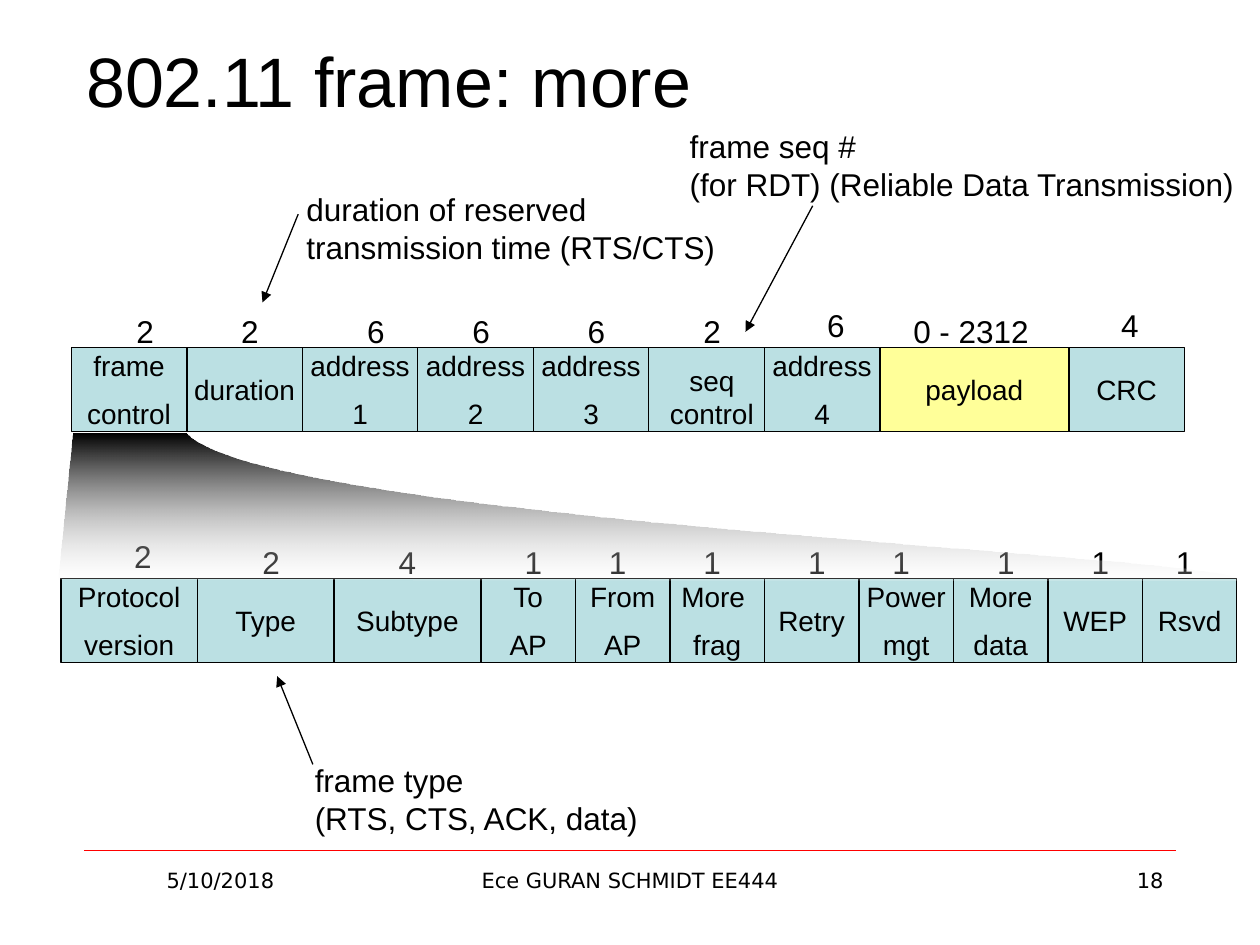
from dataclasses import dataclass
from typing import Optional

from lxml import etree
from pptx import Presentation, util as u
from pptx.dml.color import RGBColor
from pptx.enum import shapes as sh, text as tx
from pptx.oxml.ns import qn

COLS, ROWS = 120, 90  # slide grid, twelve cells to the inch
HEX = {"ink": "000000", "cell": "BBE0E3", "data": "FFFF99",
       "rule": "FF0000", "fade": "FFFFFF"}
LEFT, MID, RIGHT = tx.PP_ALIGN.LEFT, tx.PP_ALIGN.CENTER, tx.PP_ALIGN.RIGHT

prs = Presentation()
prs.slide_width, prs.slide_height = u.Inches(10), u.Inches(7.5)
slide = prs.slides.add_slide(prs.slide_layouts[5])
pool = slide.shapes


@dataclass
class Field:
    label: str
    width: float
    size: str
    mark: float        # column of the size text
    lift: float = 0    # rows the size text is raised
    fill: str = "cell"


@dataclass
class Note:
    label: str
    left: float
    top: float
    width: float
    height: float
    align: int = LEFT
    pt: int = 18
    face: str = "Arial"
    wrap: bool = False


def x(col: float) -> int:
    return round(prs.slide_width * col / COLS)


def y(row: float) -> int:
    return round(prs.slide_height * row / ROWS)


def rgb(name: str) -> RGBColor:
    return RGBColor.from_string(HEX[name])


def write(frame, label: str, pt: int, align: int = LEFT,
          face: str = "Arial", gap: float = 0, **form) -> None:
    """Fill a text frame, one paragraph a line; gap parts the lines."""
    for key, val in form.items():
        setattr(frame, key, val)
    for i, line in enumerate(label.split("\n")):
        para = frame.paragraphs[0] if i == 0 else frame.add_paragraph()
        para.alignment = align
        para.space_before = u.Pt(gap if i else 0)
        run = para.add_run()
        run.text = line
        for key, val in {"size": u.Pt(pt), "name": face}.items():
            setattr(run.font, key, val)
        run.font.color.rgb = rgb("ink")


def add_note(note: Note) -> None:
    box = pool.add_textbox(x(note.left), y(note.top), x(note.width), y(note.height))
    fit = tx.MSO_AUTO_SIZE.NONE if note.wrap else tx.MSO_AUTO_SIZE.SHAPE_TO_FIT_TEXT
    write(box.text_frame, note.label, note.pt, note.align, note.face,
          word_wrap=note.wrap, auto_size=fit)


def add_row(left: float, top: float, fields: list[Field]) -> None:
    for item in fields:
        cell = pool.add_shape(sh.MSO_SHAPE.RECTANGLE, x(left), y(top),
                              x(item.width), y(8))
        cell.shadow.inherit = False
        cell.fill.solid()
        cell.fill.fore_color.rgb = rgb(item.fill)
        cell.line.color.rgb = rgb("ink")
        cell.line.width = u.Pt(0.75)
        if item.label:
            write(cell.text_frame, item.label, 16, MID, gap=8,
                  word_wrap=False, vertical_anchor=tx.MSO_ANCHOR.MIDDLE)
        left += item.width
    for item in fields:
        wide = 13.4 if len(item.size) > 1 else 4.1
        add_note(Note(item.size, item.mark, top - 4 - item.lift, wide, 4.8))


def add_line(start: tuple, end: tuple, color: str = "ink",
             pt: float = 0.75, head: Optional[str] = None) -> None:
    line = pool.add_connector(sh.MSO_CONNECTOR.STRAIGHT, x(start[0]), y(start[1]),
                              x(end[0]), y(end[1]))
    line.line.color.rgb = rgb(color)
    line.line.width = u.Pt(pt)
    props = line._element.spPr
    if head:
        etree.SubElement(props.find(qn("a:ln")), qn("a:tailEnd"), type=head)
    etree.SubElement(props, qn("a:effectLst"))


def curve(a: tuple, b: tuple, c: tuple, d: tuple, steps: int = 60) -> list[tuple]:
    """Points of a cubic Bezier curve after its start."""
    ts = [i / steps for i in range(1, steps + 1)]
    return [tuple((1 - t) ** 3 * p + 3 * t * (1 - t) ** 2 * q
                  + 3 * t * t * (1 - t) * r + t ** 3 * s
                  for p, q, r, s in zip(a, b, c, d)) for t in ts]


def add_zoom() -> None:
    """Fading wedge from the control field down to its parts."""
    tip = (118, 55.3)
    pts = [(5.6, 55.1), tip, *curve(tip, (120, 52.9), (25.9, 49.8), (17.8, 41.3))]
    pen = pool.build_freeform(x(7), y(41.3), scale=1.0)
    pen.add_line_segments([(x(c), y(r)) for c, r in pts], close=True)
    wedge = pen.convert_to_shape()
    wedge.shadow.inherit = False
    wedge.line.fill.background()
    wedge.fill.gradient()
    wedge.fill.gradient_angle = 270
    for stop, name in zip(wedge.fill.gradient_stops, ("ink", "fade")):
        stop.color.rgb = rgb(name)
    last = wedge._element.spPr.findall(".//" + qn("a:srgbClr"))[-1]
    etree.SubElement(last, qn("a:alpha"), val="18000")


# Title
title = pool.title
for key, val in {"left": x(7), "top": y(3), "width": x(102), "height": y(15)}.items():
    setattr(title, key, val)
write(title.text_frame, "802.11 frame: more", 40,
      vertical_anchor=tx.MSO_ANCHOR.TOP, auto_size=tx.MSO_AUTO_SIZE.NONE)

# Footer
add_line((8, 81), (112, 81), "rule", 0.25)
for label, left, width, align in (("5/10/2018", 8, 26, MID),
                                  ("Ece GURAN SCHMIDT EE444", 41, 38, MID),
                                  ("18", 86, 26, RIGHT)):
    add_note(Note(label, left, 82, width, 6.2, align, 12, "DejaVu Sans", True))

# Frame fields
add_row(6.8, 33.1, [
    Field("frame\ncontrol", 11, "2", 11.8),
    Field("duration", 11, "2", 21.8),
    Field("address\n1", 11, "6", 33.8),
    Field("address\n2", 11, "6", 43.8),
    Field("address\n3", 11, "6", 54.8),
    Field("", 11, "2", 65.8),
    Field("address\n4", 11, "6", 77.6, 0.5),
    Field("payload", 18, "0 - 2312", 85.8, fill="data"),
    Field("CRC", 11, "4", 105.6, 0.5),
])
add_note(Note("seq\ncontrol", 62.6, 34, 10.4, 7.7, MID, 16))

# Parts of the control field
add_row(5.8, 55.1, [
    Field("Protocol\nversion", 13, "2", 11.6, 0.5),
    Field("Type", 13, "2", 23.8),
    Field("Subtype", 14, "4", 36.8),
    Field("To\nAP", 9, "1", 48.8),
    Field("From\nAP", 9, "1", 56.8),
    Field("More \nfrag", 9, "1", 65.8),
    Field("Retry", 9, "1", 75.8),
    Field("Power\nmgt", 9, "1", 83.8),
    Field("More\ndata", 9, "1", 93.8),
    Field("WEP", 9, "1", 102.8),
    Field("Rsvd", 9, "1", 110.8),
])
add_zoom()

# Notes and their arrows
for note, start, end in (
    (Note("duration of reserved\ntransmission time (RTS/CTS)", 28, 17.5, 41.8, 8.5),
     (28.4, 20.4), (25, 28.8)),
    (Note("frame seq #\n(for RDT) (Reliable Data Transmission)", 64.5, 11.5, 56, 8.5),
     (77.4, 19.6), (71, 31.6)),
    (Note("frame type\n(RTS, CTS, ACK, data)", 28.8, 71.9, 33.8, 8.5),
     (29.8, 72.8), (26.4, 64.4)),
):
    add_note(note)
    add_line(start, end, head="triangle")

prs.save("out.pptx")
